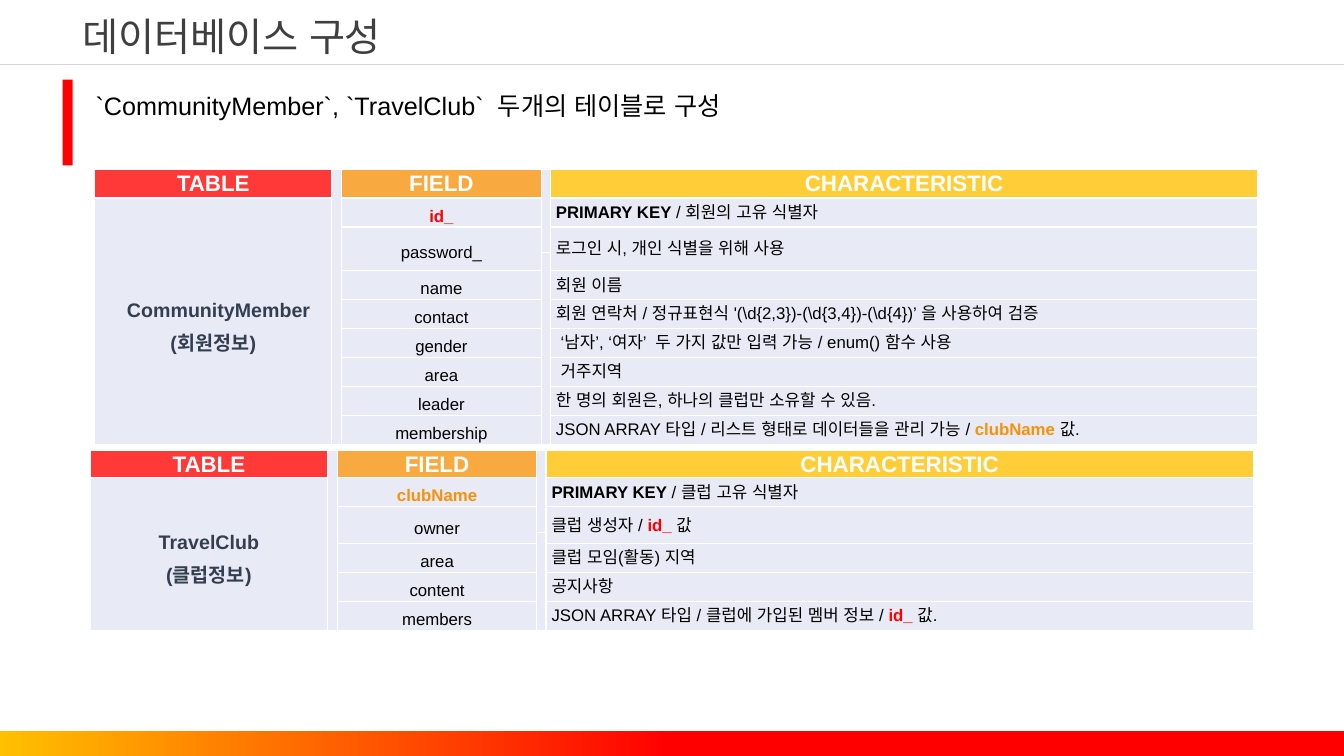
from dataclasses import dataclass
from typing import Optional

from lxml.etree import SubElement
from pptx import Presentation
from pptx.dml.color import RGBColor
from pptx.enum.shapes import MSO_CONNECTOR as Link, MSO_SHAPE as Shape
from pptx.enum.text import MSO_ANCHOR as Anchor, PP_ALIGN as Align
from pptx.oxml import parse_xml
from pptx.oxml.ns import nsdecls, qn
from pptx.util import Cm, Pt

WHITE = RGBColor(0xFF, 0xFF, 0xFF)
BLACK = RGBColor(0, 0, 0)
RED = RGBColor(0xFF, 0, 0)
ORANGE = RGBColor(0xF7, 0x91, 0x09)
GOLD = RGBColor(0xFF, 0xC0, 0)
PALE = RGBColor(0xE8, 0xEB, 0xF5)
SLATE = RGBColor(0x33, 0x3F, 0x50)
GREY = RGBColor(0x3F, 0x3F, 0x3F)
SILVER = RGBColor(0xD4, 0xD4, 0xD4)

FONT = "Arial"
WIDE, HIGH = 33.87, 19.05
COLS = (5.97, 0.25, 5.03, 0.23, 17.83)
HEADS = ((0, "TABLE", RED), (2, "FIELD", ORANGE), (4, "CHARACTERISTIC", GOLD))
ROW = 0.73
PAD = 0.12


@dataclass(frozen=True)
class Bit:
    text: str
    color: RGBColor = BLACK
    bold: bool = False


@dataclass(frozen=True)
class Field:
    name: str
    bits: tuple[Bit, ...]
    color: RGBColor = BLACK
    pad: float = PAD


@dataclass(frozen=True)
class Entry:
    left: float
    top: float
    name: str
    note: str
    pad: float
    head: float
    split: tuple[float, float]
    fields: tuple[Field, ...]


KEY = Bit("PRIMARY KEY ", bold=True)
LINK = Bit("id_ ", RED, True)

ENTRIES = (
    Entry(2.39, 4.27, "CommunityMember", "(회원정보)", 0.27, 0.72, (0.65, 0.45), (
        Field("id_", (KEY, Bit("/ 회원의 고유 식별자")), RED),
        Field("password_", (Bit("로그인 시, 개인 식별을 위해 사용"),)),
        Field("name", (Bit("회원 이름"),)),
        Field("contact", (Bit(r"회원 연락처 / 정규표현식 '(\d{2,3})-(\d{3,4})-(\d{4})’ 을 사용하여 검증"),)),
        Field("gender", (Bit("‘남자’, ‘여자’  두 가지 값만 입력 가능 / enum() 함수 사용"),), pad=2 * PAD),
        Field("area", (Bit("거주지역"),), pad=2 * PAD),
        Field("leader", (Bit("한 명의 회원은, 하나의 클럽만 소유할 수 있음."),)),
        Field("membership", (Bit("JSON ARRAY 타입 / 리스트 형태로 데이터들을 관리 가능 / "),
                             Bit("clubName ", ORANGE, True), Bit("값."))),
    )),
    Entry(2.28, 11.36, "TravelClub", "(클럽정보)", 0, 0.66, (0.65, 0.28), (
        Field("clubName", (KEY, Bit("/ 클럽 고유 식별자")), ORANGE),
        Field("owner", (Bit("클럽 생성자 / "), LINK, Bit("값"))),
        Field("area", (Bit("클럽 모임(활동) 지역"),)),
        Field("content", (Bit("공지사항"),)),
        Field("members", (Bit("JSON ARRAY 타입 / 클럽에 가입된 멤버 정보 / "), LINK, Bit("값."))),
    )),
)


def style(para, size: float, color: Optional[RGBColor] = None, bold: Optional[bool] = None,
          align=Align.LEFT, space: float = 1, pad: float = 0) -> None:
    para.font.name, para.font.size = FONT, Pt(size)
    props = para._p.get_or_add_pPr()
    face = props.find(qn("a:defRPr"))
    if face.find(qn("a:ea")) is None:
        SubElement(face, qn("a:ea")).set("typeface", FONT)
    if color is not None:
        para.font.color.rgb = color
    if bold is not None:
        para.font.bold = bold
    para.alignment, para.line_spacing = align, space
    if pad:
        props.set("marL", str(Cm(pad)))
        props.set("indent", "0")


def dress(cell) -> None:
    cell.fill.solid()
    cell.fill.fore_color.rgb = PALE
    cell.margin_left = cell.margin_right = Cm(0.02)
    cell.margin_top = cell.margin_bottom = 0
    cell.vertical_anchor = Anchor.MIDDLE
    style(cell.text_frame.paragraphs[0], 1)
    props = cell._tc.get_or_add_tcPr()
    for spot, side in enumerate("LRTB"):
        props.insert(spot, parse_xml(
            f'<a:ln{side} {nsdecls("a")} w="{Pt(1)}"><a:solidFill>'
            f'<a:srgbClr val="{WHITE}"/></a:solidFill></a:ln{side}>'))


def tint(cell, color: RGBColor) -> None:
    cell.fill.fore_color.rgb = color
    shade = cell._tc.tcPr.find(qn("a:solidFill"))[0]
    SubElement(shade, qn("a:alpha")).set("val", "78000")


def draw_table(slide, entry: Entry) -> None:
    rest = [ROW] * (len(entry.fields) - 2)
    rows = [entry.head, ROW, *entry.split, *rest]
    last = len(rows) - 1
    grid = slide.shapes.add_table(len(rows), len(COLS), Cm(entry.left), Cm(entry.top),
                                  Cm(sum(COLS)), Cm(sum(rows))).table
    grid.horz_banding = False
    for col, width in zip(grid.columns, COLS):
        col.width = Cm(width)
    for row, height in zip(grid.rows, rows):
        row.height = Cm(height)
    for cell in grid.iter_cells():
        dress(cell)
    for col, top, end in ((0, 1, last), (1, 0, last), (2, 2, 3), (3, 0, 2), (3, 3, last), (4, 2, 3)):
        grid.cell(top, col).merge(grid.cell(end, col))

    for col, text, color in HEADS:
        cell = grid.cell(0, col)
        tint(cell, color)
        cell.text = text
        style(cell.text_frame.paragraphs[0], 16, WHITE, True, Align.CENTER)

    cell = grid.cell(1, 0)
    cell.margin_top = cell.margin_bottom = Cm(0.15)
    cell.text = f"{entry.name}\n{entry.note}"
    for para, pad in zip(cell.text_frame.paragraphs, (entry.pad, 0)):
        style(para, 14, SLATE, True, Align.CENTER, 1.5, pad)

    for row, field in zip((1, 2, *range(4, last + 1)), entry.fields):
        cell = grid.cell(row, 2)
        cell.text = field.name
        style(cell.text_frame.paragraphs[0], 12, field.color, field.color != BLACK, Align.CENTER, 1.4)
        para = grid.cell(row, 4).text_frame.paragraphs[0]
        style(para, 12, pad=field.pad)
        for bit in field.bits:
            run = para.add_run()
            run.text = bit.text
            run.font.color.rgb, run.font.bold = bit.color, bit.bold


def draw_text(slide, box: tuple[float, ...], text: str, size: float,
              color: RGBColor, align, space: float) -> None:
    frame = slide.shapes.add_textbox(*map(Cm, box)).text_frame
    frame.word_wrap = True
    frame.text = text
    style(frame.paragraphs[0], size, color, align=align, space=space)


def draw_bar(slide, box: tuple[float, ...]):
    bar = slide.shapes.add_shape(Shape.RECTANGLE, *map(Cm, box))
    bar.shadow.inherit = False
    bar.line.fill.background()
    bar.fill.solid()
    bar.fill.fore_color.rgb = RED
    return bar


def main() -> None:
    deck = Presentation()
    deck.slide_width, deck.slide_height = Cm(WIDE), Cm(HIGH)
    slide = deck.slides.add_slide(deck.slide_layouts[6])

    rule = slide.shapes.add_connector(Link.STRAIGHT, 0, Cm(1.63), Cm(WIDE), Cm(1.63))
    rule.line.color.rgb, rule.line.width = SILVER, Pt(1)
    SubElement(rule._element.spPr, qn("a:effectLst"))

    draw_text(slide, (2.16, 1.78, 30.45, 2.41),
              "`CommunityMember`, `TravelClub`  두개의 테이블로 구성", 18, BLACK, Align.LEFT, 1.5)
    draw_bar(slide, (1.58, 2.01, 0.25, 2.16))
    draw_text(slide, (1.83, 0.18, 10.49, 1.45), "데이터베이스 구성", 28, GREY, Align.JUSTIFY, 1)

    foot = draw_bar(slide, (0, 18.41, WIDE, 0.65)).fill
    foot.gradient()
    foot.gradient_angle = 0
    for stop, color, place in zip(foot.gradient_stops, (GOLD, RED), (0, 0.5)):
        stop.color.rgb, stop.position = color, place

    for entry in ENTRIES:
        draw_table(slide, entry)
    deck.save("out.pptx")


if __name__ == "__main__":
    main()
